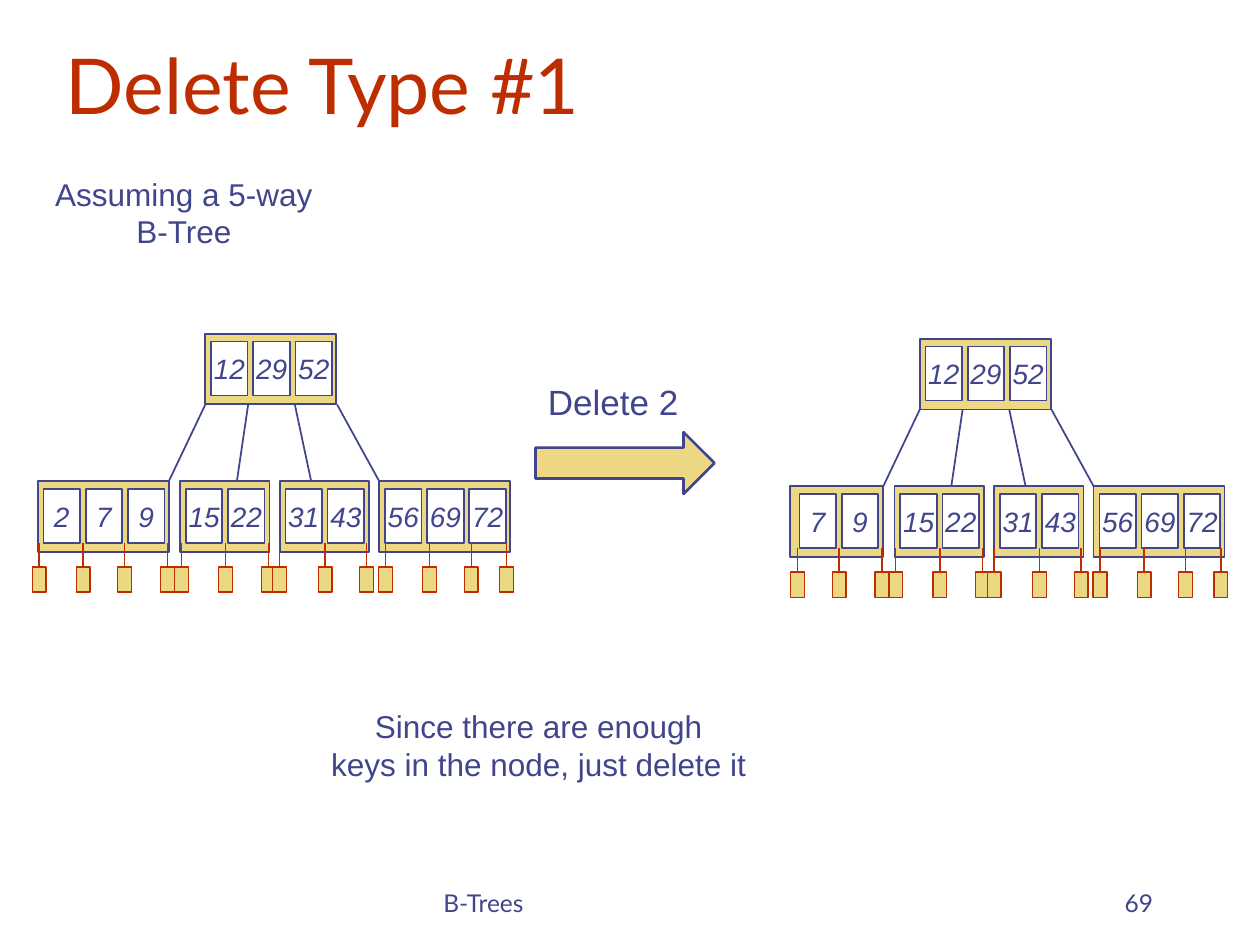
from lxml.etree import SubElement
from pptx import Presentation
from pptx.dml.color import RGBColor
from pptx.enum.shapes import MSO_CONNECTOR, MSO_SHAPE
from pptx.enum.text import MSO_ANCHOR, MSO_AUTO_SIZE, PP_ALIGN
from pptx.oxml.ns import qn
from pptx.util import Inches, Pt

INDIGO = "40458C"
RED = "BE2D00"
GOLD = "ECD882"
WHITE = "FFFFFF"

KEY_WIDTH = 0.29
KEY_HEIGHT = 0.43
KEY_PITCH = 0.335
NODE_HEIGHT = 0.56
LEAF_WIDTH = 0.11
LEAF_HEIGHT = 0.2
ROOT_LEFT = 1.63
CHILD_DROP = 1.17
KEY_INSET = 0.045
KEY_DROP = 0.06
STEM_HEIGHT = 0.19

EDGES = [(1.63, 1.34), (1.97, 1.88), (2.34, 2.47), (2.675, 3.01)]
SHARED_CHILDREN = [
    (1.43, 0.71, KEY_INSET, ["15", "22"], [1.44, 1.79, 2.13]),
    (2.22, 0.71, KEY_INSET, ["31", "43"], [2.22, 2.58, 2.91]),
    (3.01, 1.04, KEY_INSET, ["56", "69", "72"], [3.06, 3.41, 3.74, 4.02]),
]
CHILD_BEFORE = (0.3, 1.04, KEY_INSET, ["2", "7", "9"], [0.31, 0.66, 0.99, 1.33])
CHILD_AFTER = (0.6, 0.74, 0.075, ["7", "9"], [0.66, 0.99, 1.33])


def color(value):
    return RGBColor.from_string(value)


def format_text(frame, size, font_name, font_color, align, anchor, wrap=True, italic=False):
    frame.word_wrap = wrap
    frame.auto_size = MSO_AUTO_SIZE.NONE
    frame.vertical_anchor = anchor
    for para in frame.paragraphs:
        para.alignment = align
        for span in para.runs:
            span.font.size = Pt(size)
            span.font.name = font_name
            span.font.italic = italic
            span.font.color.rgb = color(font_color)


def add_text(page, text, left, top, width, height, size, font_name="Arial",
             align=PP_ALIGN.LEFT, anchor=MSO_ANCHOR.MIDDLE, wrap=True):
    box = page.shapes.add_textbox(Inches(left), Inches(top), Inches(width), Inches(height))
    box.text_frame.text = text
    format_text(box.text_frame, size, font_name, INDIGO, align, anchor, wrap)


def add_block(shapes, left, top, width, height, fill, line, weight, kind=MSO_SHAPE.RECTANGLE):
    block = shapes.add_shape(kind, Inches(left), Inches(top), Inches(width), Inches(height))
    block.shadow.inherit = False
    block.fill.solid()
    block.fill.fore_color.rgb = color(fill)
    block.line.color.rgb = color(line)
    block.line.width = Pt(weight)
    return block


def add_line(shapes, start, end, line, weight):
    connector = shapes.add_connector(
        MSO_CONNECTOR.STRAIGHT, *(Inches(value) for value in (*start, *end)))
    connector.line.color.rgb = color(line)
    connector.line.width = Pt(weight)
    SubElement(connector._element.spPr, qn("a:effectLst"))
    return connector


def add_node(shapes, left, top, width, inset, keys):
    add_block(shapes, left, top, width, NODE_HEIGHT, GOLD, INDIGO, 1)
    for index, key in enumerate(keys):
        cell = add_block(shapes, left + inset + index * KEY_PITCH, top + KEY_DROP,
                         KEY_WIDTH, KEY_HEIGHT, WHITE, INDIGO, 1)
        frame = cell.text_frame
        frame.text = key
        frame.margin_left = frame.margin_right = 0
        format_text(frame, 16, "Arial", INDIGO, PP_ALIGN.CENTER, MSO_ANCHOR.MIDDLE,
                    wrap=False, italic=True)


def add_leaf(shapes, center, stem_top):
    leaf_top = stem_top + STEM_HEIGHT
    leaf = add_block(shapes, center - LEAF_WIDTH / 2, leaf_top,
                     LEAF_WIDTH, LEAF_HEIGHT, GOLD, RED, 0.75)
    stem = add_line(shapes, (center, stem_top), (center, leaf_top), RED, 0.75)
    stem.end_connect(leaf, 0)


def add_tree(page, shift, top, first_child):
    shapes = page.shapes.add_group_shape().shapes
    child_top = top + CHILD_DROP
    add_node(shapes, ROOT_LEFT + shift, top, 1.04, KEY_INSET, ["12", "29", "52"])
    for start, end in EDGES:
        add_line(shapes, (start + shift, top + NODE_HEIGHT), (end + shift, child_top), INDIGO, 1)
    children = [first_child, *SHARED_CHILDREN]
    for left, width, inset, keys, _ in children:
        add_node(shapes, left + shift, child_top, width, inset, keys)
    for *_, centers in children:
        for center in centers:
            add_leaf(shapes, center + shift, child_top + KEY_DROP + KEY_HEIGHT)


def add_title(page, text):
    title = page.shapes.title
    title.left, title.top = Inches(0.42), Inches(0)
    title.width, title.height = Inches(8.5), Inches(1.08)
    title.text_frame.text = text
    format_text(title.text_frame, 44, "Lato", RED, PP_ALIGN.LEFT, MSO_ANCHOR.BOTTOM)


def main():
    deck = Presentation()
    deck.slide_width, deck.slide_height = Inches(10), Inches(7.5)
    page = deck.slides.add_slide(deck.slide_layouts[5])
    add_title(page, "Delete Type #1")
    add_text(page, "Assuming a 5-way\nB-Tree", 0.33, 1.33, 2.26, 0.71, 18,
             align=PP_ALIGN.CENTER, wrap=False)
    add_tree(page, 0, 2.65, CHILD_BEFORE)
    add_tree(page, 5.67, 2.69, CHILD_AFTER)
    add_block(page.shapes, 4.25, 3.43, 1.42, 0.49, GOLD, INDIGO, 1.5, MSO_SHAPE.RIGHT_ARROW)
    add_text(page, "Delete 2", 4.25, 2.97, 1.42, 0.44, 20, anchor=MSO_ANCHOR.TOP)
    add_text(page, "Since there are enough\nkeys in the node, just delete it",
             1.25, 5.56, 6.05, 0.71, 18, align=PP_ALIGN.CENTER)
    add_text(page, "B-Trees", 3.42, 6.83, 3.17, 0.5, 14, "Lato", anchor=MSO_ANCHOR.BOTTOM)
    add_text(page, "69", 7.17, 6.83, 2.08, 0.5, 14, "Lato", PP_ALIGN.RIGHT, MSO_ANCHOR.BOTTOM)
    deck.save("out.pptx")


if __name__ == "__main__":
    main()
